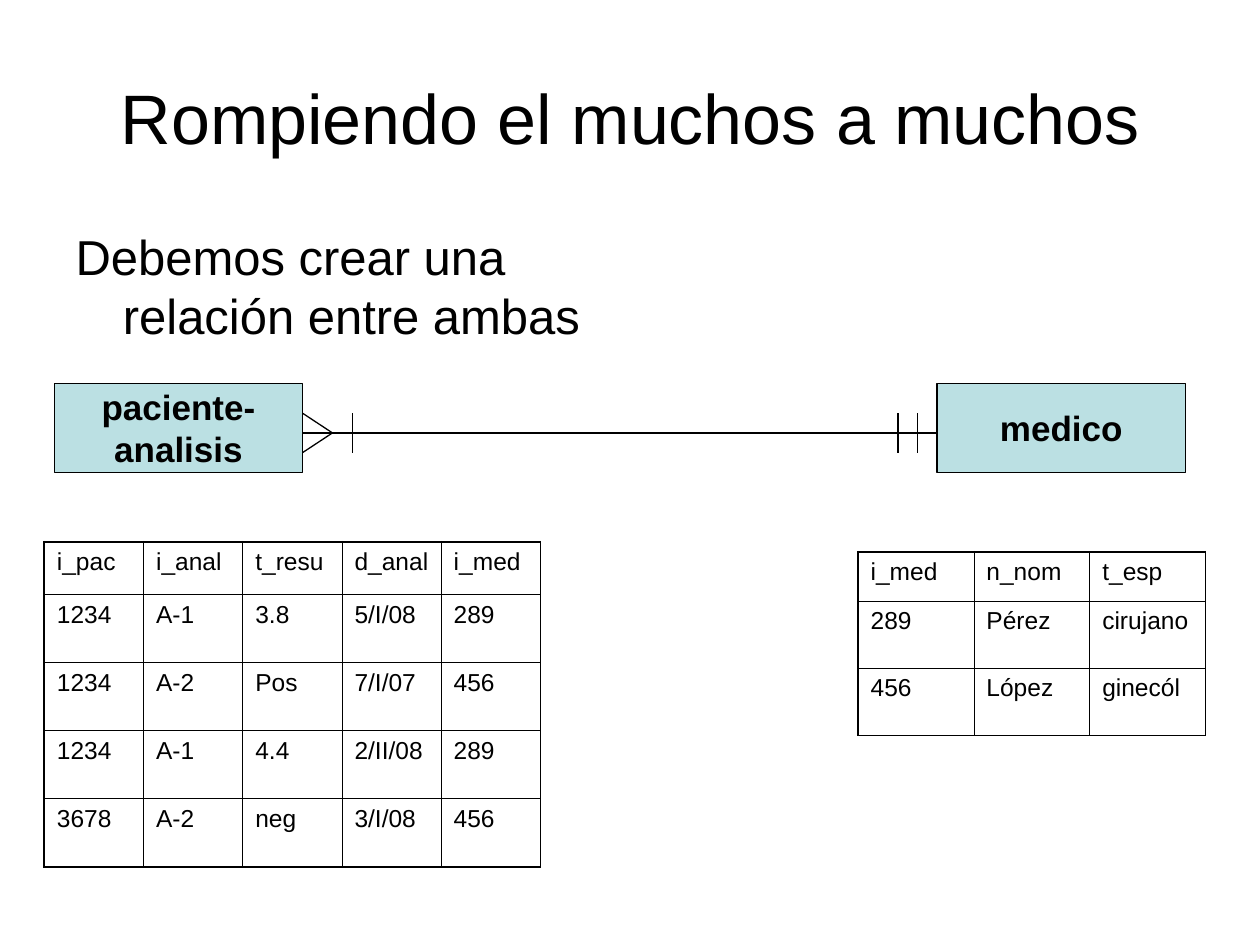
from lxml import etree
from pptx import Presentation
from pptx import util as u
from pptx.dml.color import RGBColor
from pptx.enum import shapes, text
from pptx.oxml.ns import qn

COLORS = {"ink": "000000", "entity": "BBE0E3"}
FONT = "Arial"
TITLE = "Rompiendo el muchos a muchos"
BODY = "Debemos crear una relación entre ambas"

# Entity boxes: left edge and lines of text
ENTITIES = [(31, ["paciente-", "analisis"]), (535.5, ["medico"])]
ENTITY_TOP, ENTITY_WIDTH, ENTITY_HEIGHT = 219, 142, 51

TABLES = [
    {"left": 490.3, "top": 315.3, "column": 66.2, "header": 28.2, "row": 38.4,
     "cells": [["i_med", "n_nom", "t_esp"],
               ["289", "Pérez", "cirujano"],
               ["456", "López", "ginecól"]]},
    {"left": 25.3, "top": 309.6, "column": 56.7, "header": 30.1, "row": 38.9,
     "cells": [["i_pac", "i_anal", "t_resu", "d_anal", "i_med"],
               ["1234", "A-1", "3.8", "5/I/08", "289"],
               ["1234", "A-2", "Pos", "7/I/07", "456"],
               ["1234", "A-1", "4.4", "2/II/08", "289"],
               ["3678", "A-2", "neg", "3/I/08", "456"]]},
]
OUTER_BORDER, INNER_BORDER = 1.08, 0.45

# Relationship line with its cardinality marks
RELATION_Y, MARK_REACH = 247.4, 11.2
RELATION_START, RELATION_END = ENTITIES[0][0] + ENTITY_WIDTH, ENTITIES[1][0]
CROW_FOOT_LENGTH = 17
BARS = [RELATION_START + 28.3, RELATION_END - 22.4, RELATION_END - 11.2]


def color(name):
    return RGBColor.from_string(COLORS[name])


def add_run(paragraph, words, size, bold=False):
    run = paragraph.add_run()
    run.text = words
    run.font.name = FONT
    run.font.size = u.Pt(size)
    run.font.bold = bold
    run.font.color.rgb = color("ink")


def fill_placeholder(shape, box, words, size, alignment, anchor):
    shape.left, shape.top, shape.width, shape.height = map(u.Pt, box)
    frame = shape.text_frame
    frame.auto_size = text.MSO_AUTO_SIZE.NONE
    frame.vertical_anchor = anchor
    paragraph = frame.paragraphs[0]
    paragraph.alignment = alignment
    add_run(paragraph, words, size)
    return paragraph


def add_entity(slide, left, lines):
    shape = slide.shapes.add_shape(
        shapes.MSO_SHAPE.RECTANGLE, u.Pt(left), u.Pt(ENTITY_TOP),
        u.Pt(ENTITY_WIDTH), u.Pt(ENTITY_HEIGHT))
    shape.shadow.inherit = False
    shape.fill.solid()
    shape.fill.fore_color.rgb = color("entity")
    shape.line.color.rgb = color("ink")
    shape.line.width = u.Pt(0.75)
    frame = shape.text_frame
    frame.word_wrap = False
    frame.vertical_anchor = text.MSO_ANCHOR.MIDDLE
    for index, line in enumerate(lines):
        paragraph = frame.add_paragraph() if index else frame.paragraphs[0]
        paragraph.alignment = text.PP_ALIGN.CENTER
        add_run(paragraph, line, 20, bold=True)


def add_line(slide, *ends):
    line = slide.shapes.add_connector(
        shapes.MSO_CONNECTOR.STRAIGHT, *map(u.Pt, ends))
    line.line.color.rgb = color("ink")
    line.line.width = u.Pt(0.75)
    etree.SubElement(line._element.spPr, qn("a:effectLst"))


def set_borders(cell, widths):
    """Draw the borders, given as widths for left, right, top and bottom."""
    properties = cell._tc.get_or_add_tcPr()
    for index, (side, width) in enumerate(zip("LRTB", widths)):
        border = etree.Element(qn(f"a:ln{side}"), w=str(u.Pt(width)))
        fill = etree.SubElement(border, qn("a:solidFill"))
        etree.SubElement(fill, qn("a:srgbClr"), val=COLORS["ink"])
        properties.insert(index, border)


def add_table(slide, data):
    cells = data["cells"]
    heights = [data["header"]] + [data["row"]] * (len(cells) - 1)
    last_row, last_column = len(cells) - 1, len(cells[0]) - 1
    table = slide.shapes.add_table(
        len(cells), len(cells[0]), u.Pt(data["left"]), u.Pt(data["top"]),
        u.Pt(data["column"] * len(cells[0])), u.Pt(sum(heights))).table
    table.first_row = table.horz_banding = False
    for column in table.columns:
        column.width = u.Pt(data["column"])
    for row_index, values in enumerate(cells):
        table.rows[row_index].height = u.Pt(heights[row_index])
        for column_index, value in enumerate(values):
            cell = table.cell(row_index, column_index)
            cell.fill.background()
            paragraph = cell.text_frame.paragraphs[0]
            paragraph.space_before = u.Pt(3.5)
            add_run(paragraph, value, 14)
            on_edge = (column_index == 0, column_index == last_column,
                       row_index == 0, row_index == last_row)
            set_borders(cell, [OUTER_BORDER if edge else INNER_BORDER
                               for edge in on_edge])


def main():
    presentation = Presentation()
    presentation.slide_width, presentation.slide_height = u.Pt(720), u.Pt(540)
    slide = presentation.slides.add_slide(presentation.slide_layouts[1])

    fill_placeholder(slide.shapes.title, (36, 21.6, 648, 90), TITLE, 40,
                     text.PP_ALIGN.CENTER, text.MSO_ANCHOR.MIDDLE)
    body = fill_placeholder(slide.placeholders[1], (36, 126, 318, 356.4), BODY, 28,
                            text.PP_ALIGN.LEFT, text.MSO_ANCHOR.TOP)
    body.space_before = u.Pt(7)
    properties = body._p.get_or_add_pPr()
    properties.set("marL", str(u.Pt(27)))
    properties.set("indent", str(-u.Pt(27)))
    etree.SubElement(properties, qn("a:buNone"))

    for left, lines in ENTITIES:
        add_entity(slide, left, lines)

    add_line(slide, RELATION_START, RELATION_Y, RELATION_END, RELATION_Y)
    for reach in (MARK_REACH, -MARK_REACH):
        add_line(slide, RELATION_START, RELATION_Y + reach,
                 RELATION_START + CROW_FOOT_LENGTH, RELATION_Y)
    for x in BARS:
        add_line(slide, x, RELATION_Y - MARK_REACH, x, RELATION_Y + MARK_REACH)

    for data in TABLES:
        add_table(slide, data)

    presentation.save("out.pptx")


if __name__ == "__main__":
    main()
